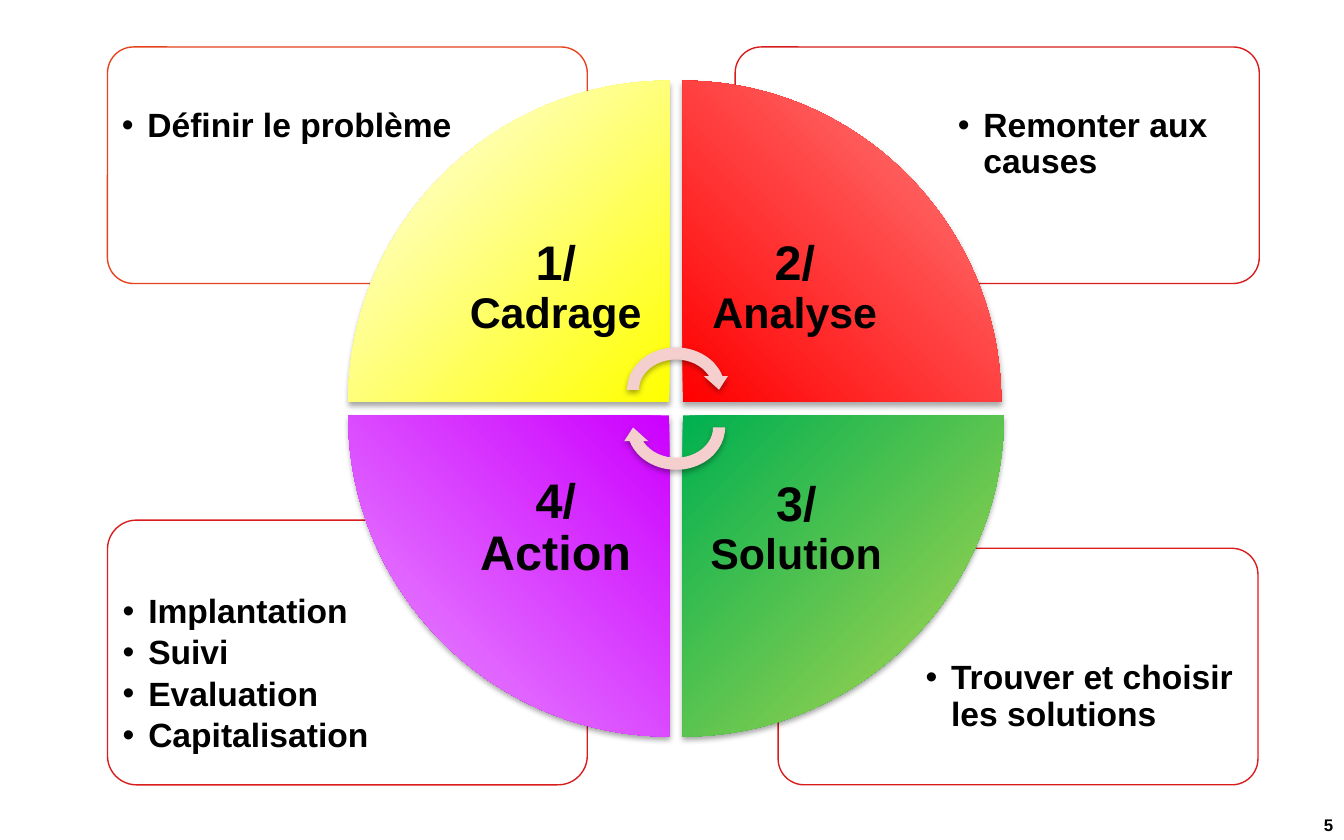
"""Build a slide showing the four-step problem-solving cycle."""
from lxml import etree
from pptx import Presentation
from pptx.dml.color import RGBColor
from pptx.enum.shapes import MSO_SHAPE
from pptx.enum.text import MSO_ANCHOR, PP_ALIGN
from pptx.oxml.ns import qn
from pptx.util import Inches, Pt

ROUNDED = MSO_SHAPE.ROUNDED_RECTANGLE
CIRCULAR_ARROW = MSO_SHAPE.CIRCULAR_ARROW
TOP, MIDDLE = MSO_ANCHOR.TOP, MSO_ANCHOR.MIDDLE
LEFT, CENTER, RIGHT = PP_ALIGN.LEFT, PP_ALIGN.CENTER, PP_ALIGN.RIGHT

COLORS = {
    "text": "000000", "panel": "FFFFFF", "arrow": "F5CFCD",
    "orange line": "E6431D", "red line": "D91C1C",
    "yellow": "FFFF00", "pale yellow": "FFFFC5",
    "red": "FF0000", "pale red": "FF6868",
    "green": "00B050", "pale green": "92D050",
    "purple": "CC00FF", "pale purple": "E478FF",
}
RGB = {name: RGBColor.from_string(value) for name, value in COLORS.items()}
ARC_HANDLE = 0.55
INDENT = Inches(0.19)


def add_shadow(shape):
    shape.shadow.inherit = False
    effects = shape._element.spPr.find(qn("a:effectLst"))
    shadow = etree.SubElement(effects, qn("a:outerShdw"), blurRad="40000",
                              dist="23000", dir="5400000", rotWithShape="0")
    tint = etree.SubElement(shadow, qn("a:srgbClr"), val=COLORS["text"])
    etree.SubElement(tint, qn("a:alpha"), val="35000")


def write_text(shape, paragraphs, margins, anchor, align,
               spacing=0.9, bulleted=False):
    frame = shape.text_frame
    sides = ("margin_left", "margin_top", "margin_right", "margin_bottom")
    frame_format = dict(zip(sides, map(Inches, margins)))
    frame_format.update(word_wrap=True, vertical_anchor=anchor)
    for name, value in frame_format.items():
        setattr(frame, name, value)
    for index, runs in enumerate(paragraphs):
        paragraph = frame.add_paragraph() if index else frame.paragraphs[0]
        paragraph.alignment = align
        paragraph.line_spacing = spacing
        if bulleted:
            paragraph.space_after = Pt(2.7)
            properties = paragraph._p.get_or_add_pPr()
            properties.set("marL", str(INDENT))
            properties.set("indent", str(-INDENT))
            etree.SubElement(properties, qn("a:buFont"), typeface="Arial")
            etree.SubElement(properties, qn("a:buChar"), char="•")
        for text, size in runs:
            run = paragraph.add_run()
            run.text = text
            run.font.color.rgb = RGB["text"]
            font_format = {"name": "Arial", "size": Pt(size), "bold": True}
            for name, value in font_format.items():
                setattr(run.font, name, value)


presentation = Presentation()
presentation.slide_width = Inches(10)
presentation.slide_height = Inches(6.25)
slide = presentation.slides.add_slide(presentation.slide_layouts[6])
shapes = slide.shapes

steps = [
    {"panel": (0.8, 0.35, 3.57, 1.76), "margins": (0.05, 0.4, 0.88, 0.06),
     "line": "orange line", "tasks": ["Définir le problème"],
     "hub": (4.98, 2.99), "reach": (-2.39, -2.39), "angle": 135,
     "color": "yellow", "label": [("1/ ", 26), ("Cadrage", 23)]},
    {"panel": (5.47, 0.35, 3.9, 1.76), "margins": (1.6, 0.4, 0.06, 0.06),
     "line": "red line", "tasks": ["Remonter aux causes"],
     "hub": (5.08, 2.99), "reach": (2.37, -2.39), "angle": 45,
     "color": "red", "label": [("2/ ", 26), ("Analyse", 23)]},
    {"panel": (5.79, 4.08, 3.57, 1.76), "margins": (1.04, 0.78, 0.06, 0.06),
     "line": "red line", "tasks": ["Trouver et choisir les solutions"],
     "hub": (5.08, 3.09), "reach": (2.39, 2.39), "angle": 315,
     "color": "green", "label": [("3/ ", 26), ("Solution", 23)]},
    {"panel": (0.8, 3.87, 3.57, 1.97), "margins": (0.05, 0.49, 0.88, 0.06),
     "line": "red line",
     "tasks": ["Implantation", "Suivi", "Evaluation", "Capitalisation"],
     "hub": (4.98, 3.09), "reach": (-2.39, 2.39), "angle": 225,
     "color": "purple", "label": [("4/ Action", 26)]},
]

for step in steps:
    panel = shapes.add_shape(ROUNDED, *map(Inches, step["panel"]))
    panel.adjustments[0] = 0.11
    panel.shadow.inherit = False
    panel.fill.solid()
    panel.fill.fore_color.rgb = RGB["panel"]
    panel.line.color.rgb = RGB[step["line"]]
    panel.line.width = Pt(0.75)
    tasks = [[(task, 18)] for task in step["tasks"]]
    write_text(panel, tasks, step["margins"], TOP, LEFT, bulleted=True)

    hub_x, hub_y = map(Inches, step["hub"])
    reach_x, reach_y = map(Inches, step["reach"])
    side, tip = (hub_x + reach_x, hub_y), (hub_x, hub_y + reach_y)
    outline = shapes.build_freeform(*side)
    outline.add_line_segments([tip, (hub_x, hub_y)], close=True)
    quadrant = outline.convert_to_shape()
    arc = next(quadrant._element.iter(qn("a:lnTo")))
    arc.tag = qn("a:cubicBezTo")
    handles = ((side[0], int(hub_y + ARC_HANDLE * reach_y)),
               (int(hub_x + ARC_HANDLE * reach_x), tip[1]))
    for position, (x, y) in enumerate(handles):
        handle = etree.Element(qn("a:pt"), x=str(x - quadrant.left),
                               y=str(y - quadrant.top))
        arc.insert(position, handle)
    quadrant.line.fill.background()
    quadrant.fill.gradient()
    quadrant.fill.gradient_angle = step["angle"]
    shades = ((step["color"], 0), ("pale " + step["color"], 0.81))
    for stop, (shade, position) in zip(quadrant.fill.gradient_stops, shades):
        stop.color.rgb = RGB[shade]
        stop.position = position
    add_shadow(quadrant)
    outer, inner = 0.88, 0.18
    across = (outer, inner) if reach_x < 0 else (inner, outer)
    down = (outer, inner) if reach_y < 0 else (inner, outer)
    margins = (across[0], down[0], across[1], down[1])
    write_text(quadrant, [step["label"]], margins, MIDDLE, CENTER)

for top, rotation in ((2.54, 0), (2.82, 180)):
    cycle_arrow = shapes.add_shape(CIRCULAR_ARROW, Inches(4.62), Inches(top),
                                   Inches(0.82), Inches(0.72))
    cycle_arrow.rotation = rotation
    cycle_arrow.fill.solid()
    cycle_arrow.fill.fore_color.rgb = RGB["arrow"]
    cycle_arrow.line.fill.background()
    add_shadow(cycle_arrow)

page_number = shapes.add_textbox(Inches(9.58), Inches(6.01),
                                 Inches(0.42), Inches(0.24))
write_text(page_number, [[("5", 9)]], (0.08, 0.05, 0.08, 0.04), TOP, RIGHT,
           spacing=1.0)

presentation.save("out.pptx")
